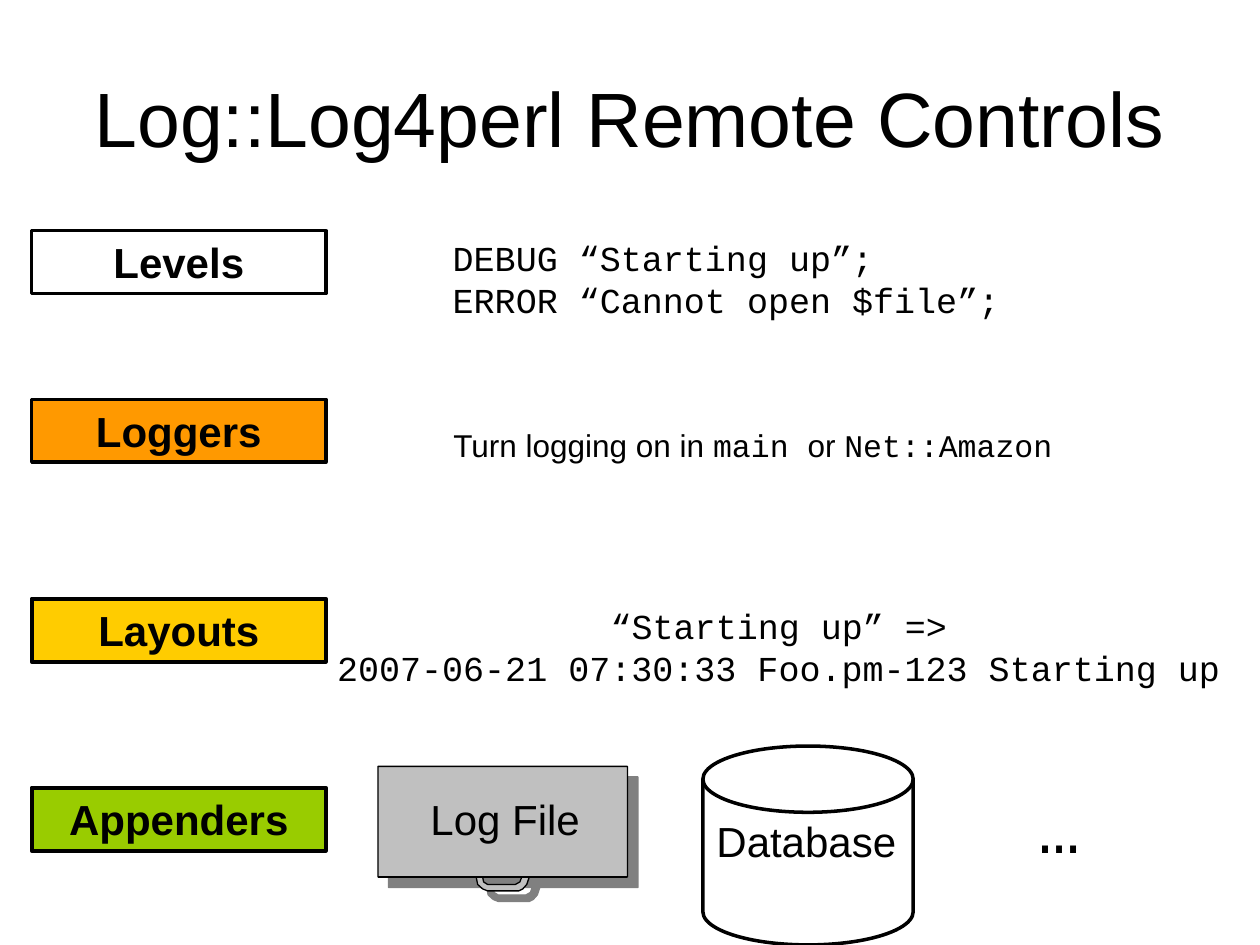
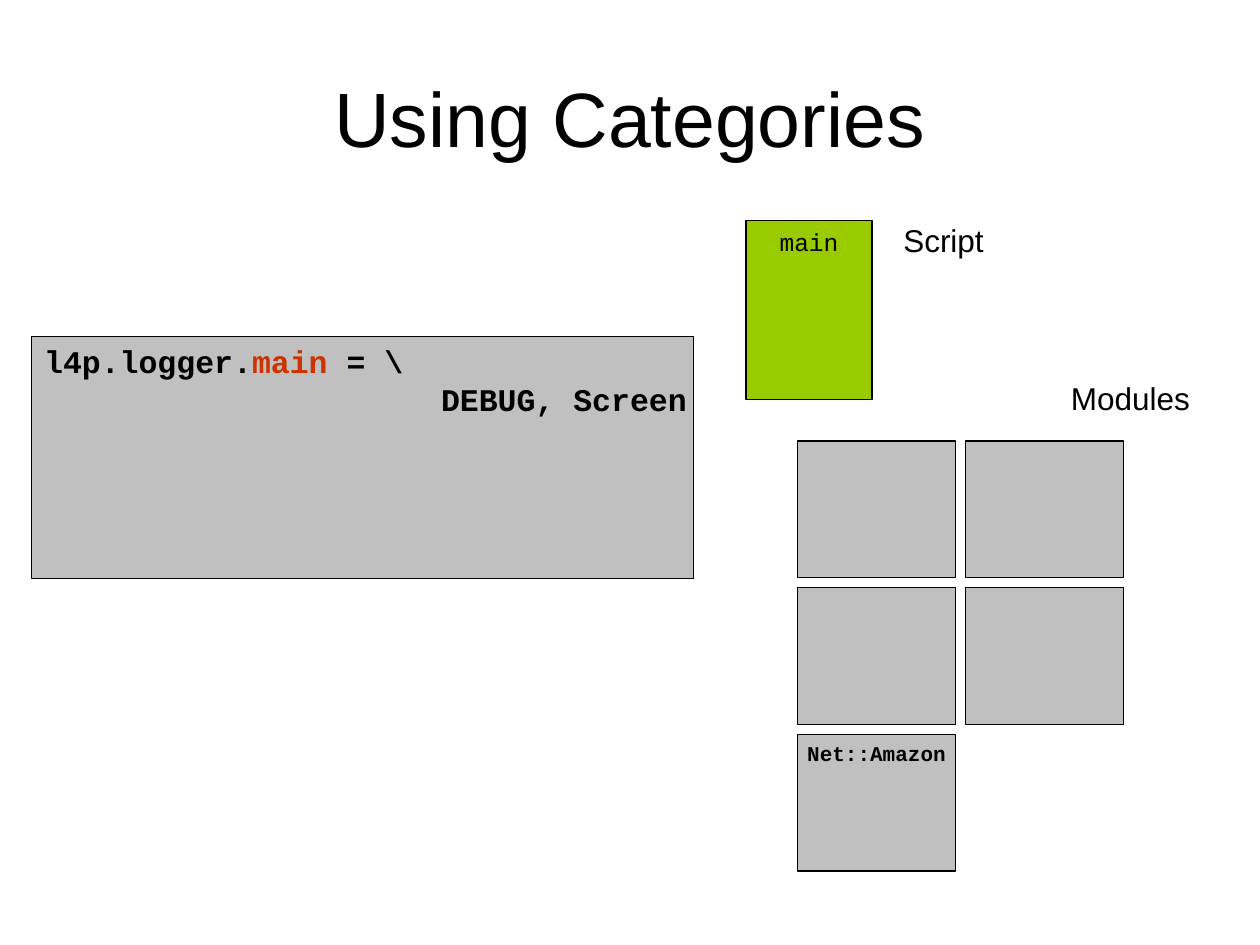
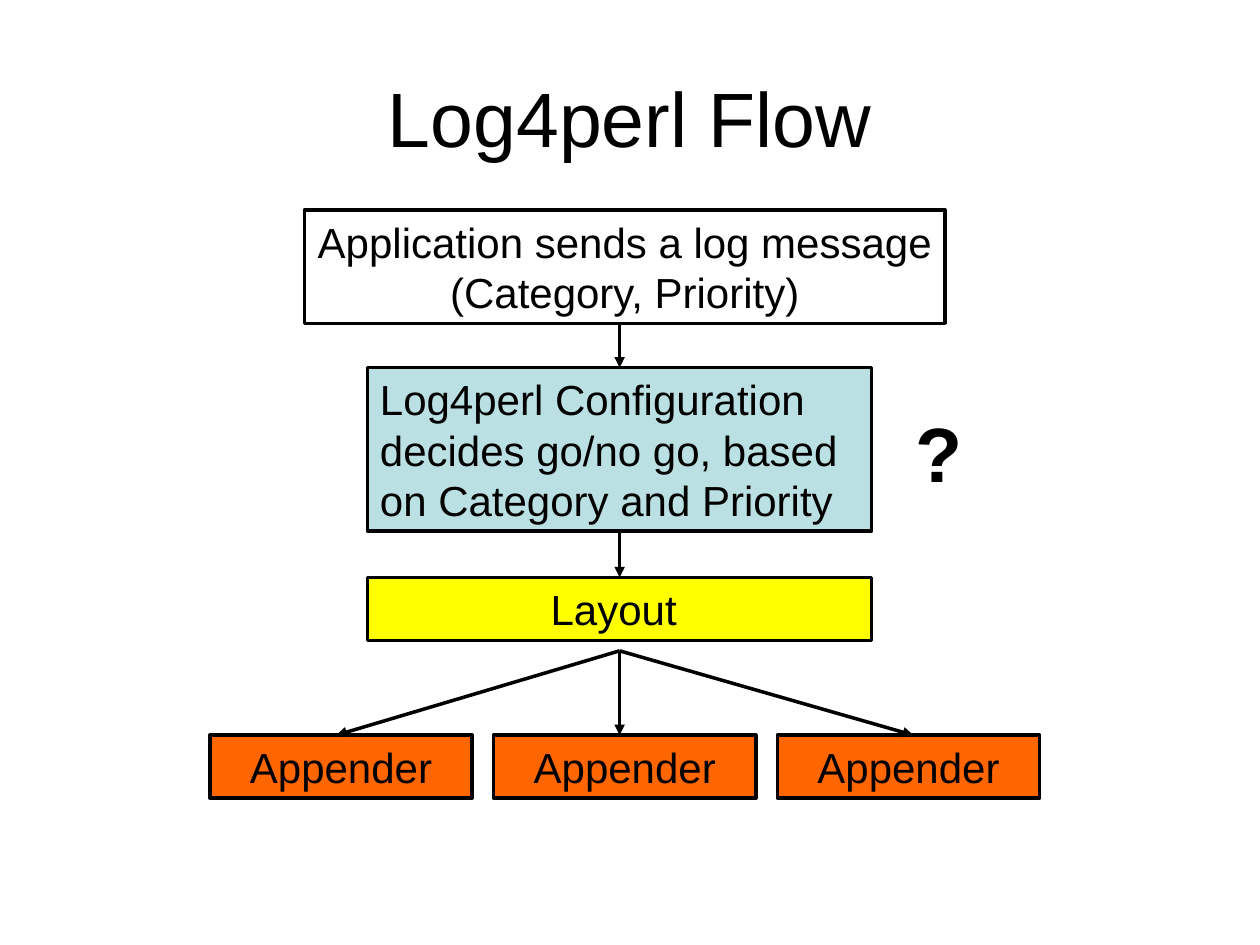
"""Build three slides on the parts, categories and flow of Log::Log4perl."""
from lxml import etree
from pptx import Presentation, util as u
from pptx.dml.color import RGBColor
from pptx.enum import shapes, text
from pptx.oxml.ns import qn

COLOURS = {
    "black": "000000", "white": "FFFFFF", "grey": "C0C0C0", "shadow": "808080",
    "orange": "FF9900", "amber": "FFCC00", "green": "99CC00", "red": "CC3300",
    "pale blue": "BBE0E3", "yellow": "FFFF00", "deep orange": "FF6600",
}
SANS, MONO = "Arial", "Courier New"
LEFT, CENTER = text.PP_ALIGN.LEFT, text.PP_ALIGN.CENTER
RECTANGLE = shapes.MSO_SHAPE.RECTANGLE


def write(shape, lines, size, font=SANS, bold=False, align=CENTER, wrap=False):
    frame = shape.text_frame
    frame.word_wrap = wrap
    frame.auto_size = text.MSO_AUTO_SIZE.NONE
    if not shape.is_placeholder:
        frame.vertical_anchor = text.MSO_ANCHOR.TOP
    for number, line in enumerate(lines):
        paragraph = frame.add_paragraph() if number else frame.paragraphs[0]
        paragraph.alignment = align
        for words, run_font, colour in [(line, font, "black")] if isinstance(line, str) else line:
            run = paragraph.add_run()
            run.text = words
            run.font.name = run_font
            run.font.size = u.Pt(size)
            run.font.bold = bold
            run.font.color.rgb = RGBColor.from_string(COLOURS[colour])


def draw(slide, place, fill=None, line_width=2, preset=RECTANGLE):
    shape = slide.shapes.add_shape(preset, *map(u.Cm, place))
    shape.shadow.inherit = False
    if fill:
        shape.fill.solid()
        shape.fill.fore_color.rgb = RGBColor.from_string(COLOURS[fill])
    else:
        shape.fill.background()
    shape.line.color.rgb = RGBColor.from_string(COLOURS["black"])
    shape.line.width = u.Pt(line_width)
    return shape


presentation = Presentation()
presentation.slide_width, presentation.slide_height = u.Cm(25.4), u.Cm(19.05)
slides = []
for heading in ("Log::Log4perl Remote Controls", "Using Categories", "Log4perl Flow"):
    slide = presentation.slides.add_slide(presentation.slide_layouts[5])
    title = slide.shapes.title
    title.left, title.top, title.width, title.height = map(u.Cm, (1.27, 0.76, 22.86, 3.18))
    title.text_frame.vertical_anchor = text.MSO_ANCHOR.MIDDLE
    write(title, [heading], 44, wrap=True)
    slides.append(slide)
controls, categories, flow = slides

for label, top, fill, line_width in (
    ("Levels", 4.65, "white", 2),
    ("Loggers", 8.05, "orange", 2),
    ("Layouts", 12.07, "amber", 2.25),
    ("Appenders", 15.88, "green", 2.25),
):
    control = draw(controls, (0.64, top, 5.93, 1.27), fill, line_width)
    write(control, [label], 24, bold=True, wrap=True)

draw(controls, (14.17, 15.04, 4.24, 4.01), preset=shapes.MSO_SHAPE.FLOWCHART_MAGNETIC_DISK)

builder = controls.shapes.build_freeform(762, 1545, scale=u.Cm(0.01))
builder.add_line_segments([
    (762, 1768), (960, 1768), (963, 1783), (973, 1792), (983, 1796), (1046, 1796),
    (1054, 1792), (1062, 1783), (1067, 1768), (1265, 1768), (1265, 1545),
])
builder.move_to(973, 1768)
builder.add_line_segments([(975, 1778), (983, 1783), (1039, 1783), (1048, 1778), (1052, 1768)])
builder.move_to(762, 1768)
builder.add_line_segments([(1265, 1768)], close=False)
log_file = builder.convert_to_shape()
log_file.fill.solid()
log_file.fill.fore_color.rgb = RGBColor.from_string(COLOURS["grey"])
log_file.line.color.rgb = RGBColor.from_string(COLOURS["black"])
log_file.line.width = u.Pt(0.75)
log_file.shadow.inherit = False
effects = log_file.element.spPr.find(qn("a:effectLst"))
shadow = etree.SubElement(
    effects, qn("a:outerShdw"), dist=str(u.Pt(8.5)), dir="2700000", algn="ctr", rotWithShape="0")
etree.SubElement(shadow, qn("a:srgbClr"), val=COLOURS["shadow"])

logger_note = [
    ("Turn logging on in ", SANS, "black"), ("main ", MONO, "black"),
    ("or ", SANS, "black"), ("Net::Amazon", MONO, "black"),
]
for slide, place, lines, size, font, align, bold in (
    (controls, (8.03, 4.65, 12.55, 1.96),
     ["  DEBUG “Starting up”;", "  ERROR “Cannot open $file”;"], 20, MONO, LEFT, False),
    (controls, (8.89, 8.46, 12.78, 1.02), [logger_note], 18, SANS, LEFT, False),
    (controls, (6.45, 12.07, 18.51, 1.96),
     ["“Starting up” =>", "2007-06-21 07:30:33 Foo.pm-123 Starting up"], 20, MONO, CENTER, False),
    (controls, (8.33, 15.88, 3.71, 1.27), ["Log File"], 24, SANS, CENTER, False),
    (controls, (14.1, 16.31, 4.31, 1.27), ["Database"], 24, SANS, CENTER, False),
    (controls, (20.68, 15.67, 1.63, 1.96), ["…"], 40, MONO, LEFT, False),
    (categories, (17.96, 4.34, 2.13, 1.02), ["Script"], 18, SANS, LEFT, False),
    (categories, (21.34, 7.52, 2.9, 1.02), ["Modules"], 18, SANS, LEFT, False),
    (flow, (18.21, 8.05, 1.45, 2.13), ["?"], 44, SANS, CENTER, True),
):
    write(slide.shapes.add_textbox(*map(u.Cm, place)), lines, size, font, bold, align)

configuration_code = [
    [("l4p.logger.", MONO, "black"), ("main", MONO, "red"), (" = \\", MONO, "black")],
    "                     DEBUG, Screen",
]
configuration_file = draw(categories, (0.64, 6.78, 13.34, 4.88), "grey", 0.75)
write(configuration_file, configuration_code, 18, MONO, True, LEFT)
script = draw(categories, (15.04, 4.45, 2.54, 3.61), "green", 0.75)
write(script, ["main"], 14, MONO)
for number in range(5):
    row, column = divmod(number, 2)
    module = draw(
        categories, (16.08 + 3.39 * column, 8.89 + 2.96 * row, 3.18, 2.75), "grey", 0.75)
write(module, ["Net::Amazon"], 12, MONO, True)

steps = []
for words, place, fill, align in (
    ("Application sends a log message (Category, Priority)", (6.14, 4.23, 12.91, 2.29), None, CENTER),
    ("Log4perl Configuration decides go/no go, based on Category and Priority",
     (7.41, 7.41, 10.16, 3.3), "pale blue", LEFT),
    ("Layout ", (7.41, 11.64, 10.16, 1.27), "yellow", CENTER),
    *(("Appender", (4.23 + 5.72 * column, 14.82, 5.29, 1.27), "deep orange", CENTER)
      for column in range(3)),
):
    step = draw(flow, place, fill)
    write(step, [words], 24, align=align, wrap=True)
    steps.append(step)
application, configuration, layout, *appenders = steps

for start_top, end_left, end_top, source, target in (
    (6.56, 12.49, 7.41, None, configuration),
    (10.71, 12.49, 11.64, configuration, layout),
    *((13.12, end_left, 14.82, None, None) for end_left in (6.78, 12.49, 18.41)),
):
    arrow = flow.shapes.add_connector(
        shapes.MSO_CONNECTOR.STRAIGHT, *map(u.Cm, (12.49, start_top, end_left, end_top)))
    if source:
        arrow.begin_connect(source, 2)
    if target:
        arrow.end_connect(target, 0)
    arrow.line.color.rgb = RGBColor.from_string(COLOURS["black"])
    arrow.line.width = u.Pt(2)
    properties = arrow.element.spPr
    etree.SubElement(properties.find(qn("a:ln")), qn("a:tailEnd"), type="triangle")
    etree.SubElement(properties, qn("a:effectLst"))

presentation.save("out.pptx")
